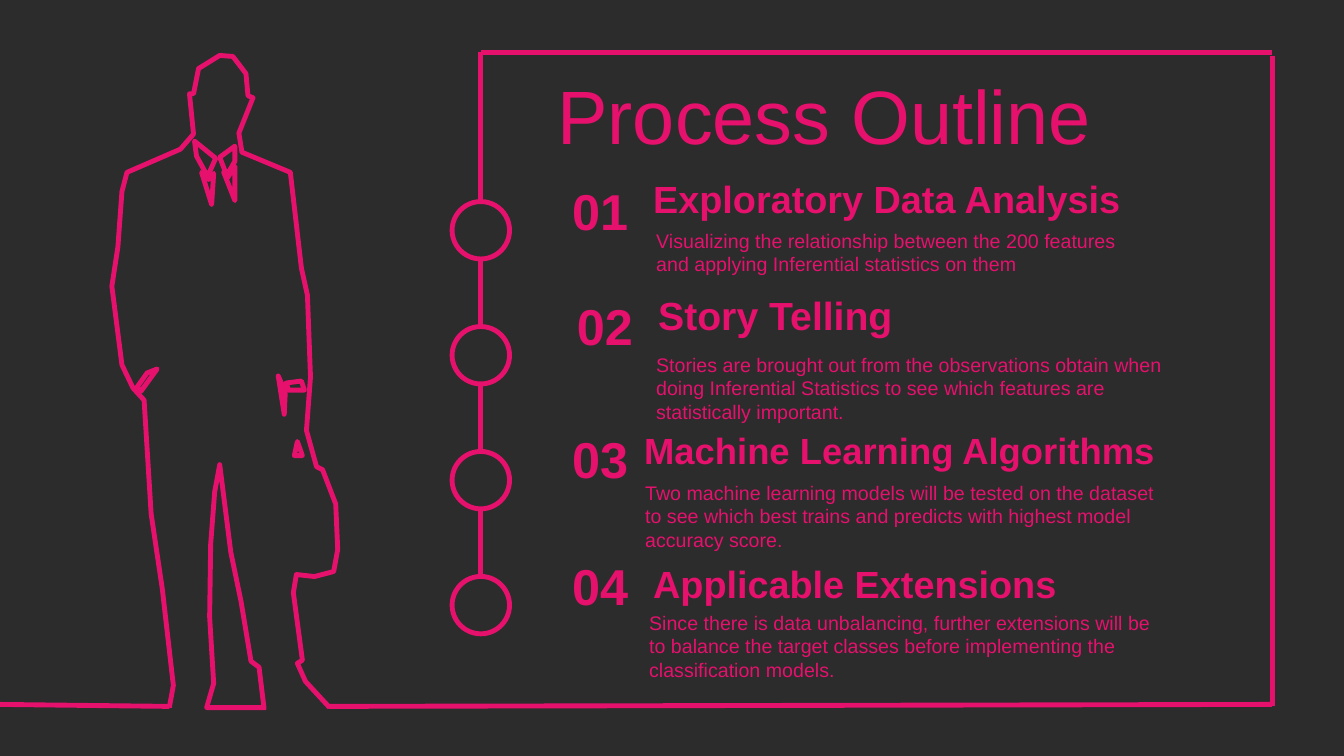
import pptx
import pptx.util
import pptx.dml.color
import pptx.enum.shapes
import pptx.enum.text
import pptx.oxml.ns

PINK = pptx.dml.color.RGBColor(0xE6, 0x10, 0x6D)
CHARCOAL = pptx.dml.color.RGBColor(0x2C, 0x2C, 0x2C)
FONT = "Arial"
STROKE = pptx.util.Pt(3.5)
COLUMNS = 40
SLIDE_W, SLIDE_H = pptx.util.Inches(13.33), pptx.util.Inches(7.5)
MARGIN = 0.36
LEFT = pptx.enum.text.PP_ALIGN.LEFT
CENTER = pptx.enum.text.PP_ALIGN.CENTER
TOP = pptx.enum.text.MSO_ANCHOR.TOP
MIDDLE = pptx.enum.text.MSO_ANCHOR.MIDDLE

SPINE_X, TOP_Y, RIGHT_X, FLOOR_Y = 14.31, 1.56, 37.86, 21.03
FRAME = [
    (SPINE_X, 17.55, SPINE_X, TOP_Y),
    (RIGHT_X, TOP_Y, SPINE_X, TOP_Y),
    (RIGHT_X, FLOOR_Y, RIGHT_X, 1.68),
    (RIGHT_X, 20.97, 9.78, FLOOR_Y),
    (5.04, FLOOR_Y, 0, 20.97),
]
NODE_TOP, NODE_STEP, NODE_SIZE = 6, 3.72, 1.71
NUMBER_X, HEADING_W = 16.29, 16.26

# number (top, width); heading (text, left, top, points); body (text, left, top, width)
STEPS = [
    ((5.22, 3.15), ("Exploratory Data Analysis", 19.08, 5.07, 27),
     ("Visualizing the relationship between the 200 features and applying "
      "Inferential statistics on them", 19.23, 6.66, 14.79)),
    ((8.64, 3.42), ("Story Telling", 19.23, 8.52, 28),
     ("Stories are brought out from the observations obtain when doing Inferential "
      "Statistics to see which features are statistically important.", 19.23, 10.35, 16.05)),
    ((12.6, 3.15), ("Machine Learning Algorithms", 18.81, 12.6, 26),
     ("Two machine learning models will be tested on the dataset to see which best "
      "trains and predicts with highest model accuracy score.", 18.9, 14.16, 16.26)),
    ((16.38, 3.15), ("Applicable Extensions", 19.08, 16.53, 27),
     ("Since there is data unbalancing, further extensions will be to balance the target "
      "classes before implementing the classification models.", 19.02, 18.03, 15.93)),
]

# Outlines of the standing man, in hundredths of an inch
INNER_LEG = [
    (262, 703), (257, 662), (249, 656), (239, 596), (229, 548), (218, 461),
    (213, 488), (209, 540), (208, 612), (212, 678), (205, 702), (264, 702)]
BODY = [
    (168, 702), (172, 680), (161, 584), (150, 510), (143, 397), (132, 385), (121, 362),
    (111, 284), (117, 245), (121, 190), (126, 171), (179, 148), (192, 133), (188, 93),
    (192, 93), (197, 68), (218, 55), (231, 56), (244, 73), (246, 95), (251, 97),
    (237, 132), (240, 151), (288, 171), (299, 266), (305, 293), (308, 374), (304, 427),
    (314, 463), (320, 466), (333, 500), (335, 545), (331, 567), (312, 572), (294, 570),
    (291, 588), (300, 655), (295, 658), (303, 676), (327, 702)]
DETAILS = {
    "case handle": [(300, 452), (295, 438), (292, 452)],
    "cuff": [(286, 387), (302, 387), (299, 378), (284, 380)],
    "right hand": [(282, 411), (283, 389), (276, 373)],
    "right tie": [(233, 199), (233, 165), (226, 176), (222, 171)],
    "right collar": [(225, 174), (233, 160), (233, 145), (218, 156)],
    "left tie": [(210, 203), (212, 172), (207, 178), (200, 171)],
    "left collar": [(206, 175), (214, 157), (193, 140), (195, 155)],
    "left hand": [(140, 388), (156, 366), (146, 370), (136, 384)],
}


def grid(*cells):
    """Turn grid cells into slide lengths."""
    return [round(c * SLIDE_W / COLUMNS) for c in cells]


def assign(target, values):
    for name, value in values.items():
        setattr(target, name, value)


def style_line(line):
    line.color.rgb = PINK
    line.width = STROKE


def add_line(s, ends):
    line = s.shapes.add_connector(pptx.enum.shapes.MSO_CONNECTOR.STRAIGHT, *grid(*ends))
    style_line(line.line)
    effects = line._element.spPr.makeelement(pptx.oxml.ns.qn("a:effectLst"), {})
    line._element.spPr.append(effects)


def add_node(s, top):
    box = grid(SPINE_X - NODE_SIZE / 2, top, NODE_SIZE, NODE_SIZE)
    sp = s.shapes.add_shape(pptx.enum.shapes.MSO_SHAPE.OVAL, *box)
    sp.shadow.inherit = False
    sp.fill.solid()
    sp.fill.fore_color.rgb = CHARCOAL
    style_line(sp.line)


def add_man(s):
    start, *rest = INNER_LEG
    builder = s.shapes.build_freeform(*start, scale=pptx.util.Inches(0.01))
    builder.add_line_segments(rest, close=False)
    contours = [(BODY, False)] + [(points, True) for points in DETAILS.values()]
    for (first, *others), closed in contours:
        builder.move_to(*first)
        builder.add_line_segments(others, close=closed)
    sp = builder.convert_to_shape()
    sp.shadow.inherit = False
    sp.fill.background()
    style_line(sp.line)


def write(sp, text, size, bold=False, align=LEFT, anchor=TOP, margin=0.3):
    tf = sp.text_frame
    side, = grid(margin)
    assign(tf, {"word_wrap": True, "vertical_anchor": anchor, "margin_left": side,
                "margin_right": side,
                "auto_size": pptx.enum.text.MSO_AUTO_SIZE.NONE})
    p = tf.paragraphs[0]
    p.alignment = align
    r = p.add_run()
    r.text = text
    assign(r.font, {"name": FONT, "size": pptx.util.Pt(size), "bold": bold})
    r.font.color.rgb = PINK


def add_text(s, box, text, size, **style):
    write(s.shapes.add_textbox(*grid(*box)), text, size, **style)


def add_step(s, number, label, heading, body):
    text, left, top, width = body
    add_text(s, (left, top, width, 2.5), text, 14)
    text, left, top, size = heading
    add_text(s, (left, top, HEADING_W, 1.7), text, size, bold=True, margin=MARGIN)
    top, width = label
    add_text(s, (NUMBER_X, top, width, 2.2), f"{number:02d}", 36, bold=True,
             align=CENTER, margin=MARGIN)


def add_title(s, text):
    sp = s.shapes.title
    box = grid(NUMBER_X, 1.89, 20.37, 3.03)
    assign(sp, dict(zip(("left", "top", "width", "height"), box)))
    write(sp, text, 54, anchor=MIDDLE)


def main():
    prs = pptx.Presentation()
    assign(prs, {"slide_width": SLIDE_W, "slide_height": SLIDE_H})
    s = prs.slides.add_slide(prs.slide_layouts[5])
    s.background.fill.solid()
    s.background.fill.fore_color.rgb = CHARCOAL
    for ends in FRAME:
        add_line(s, ends)
    for i, step in enumerate(STEPS):
        add_node(s, NODE_TOP + i * NODE_STEP)
        add_step(s, i + 1, *step)
    add_man(s)
    add_title(s, "Process Outline")
    prs.save("out.pptx")


if __name__ == "__main__":
    main()
